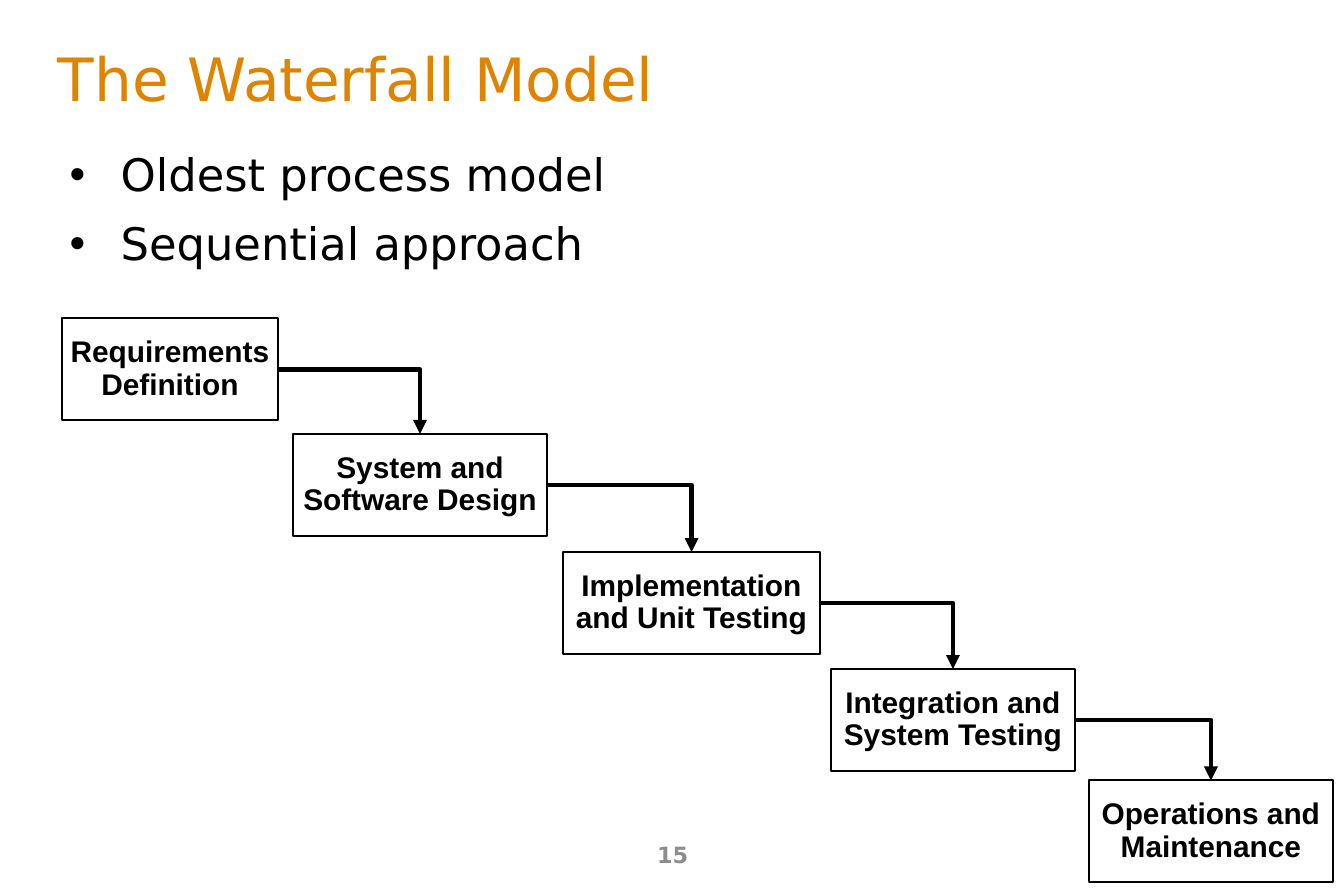
from lxml import etree
from pptx import Presentation
from pptx.dml.color import RGBColor
from pptx.enum.shapes import MSO_CONNECTOR as Connector, MSO_SHAPE as Shape
from pptx.enum.text import MSO_ANCHOR as Anchor, PP_ALIGN as Align
from pptx.oxml.ns import qn
from pptx.util import Inches, Pt

BODY_FONT = "DejaVu Sans"
BLACK = "000000"


def color(hex_value):
    return RGBColor.from_string(hex_value)


def format_text(text_frame, font_name, size, hex_value, align, bold=False):
    for paragraph in text_frame.paragraphs:
        paragraph.alignment = align
        for run in paragraph.runs:
            run.font.name = font_name
            run.font.size = Pt(size)
            run.font.bold = bold
            run.font.color.rgb = color(hex_value)


presentation = Presentation()
presentation.slide_width = Inches(10)
presentation.slide_height = Inches(6.67)
slide = presentation.slides.add_slide(presentation.slide_layouts[5])

# Title
title = slide.shapes.title
title.left, title.top = Inches(0.33), Inches(0.27)
title.width, title.height = Inches(9.17), Inches(0.61)
title.text_frame.text = "The Waterfall Model"
title.text_frame.vertical_anchor = Anchor.MIDDLE
format_text(title.text_frame, BODY_FONT, 32, "DE8400", Align.LEFT)

# Slide number
number_box = slide.shapes.add_textbox(Inches(3.42), Inches(6.18), Inches(3.17), Inches(0.36))
number_box.text_frame.word_wrap = True
number_box.text_frame.text = "15"
number_box.text_frame.vertical_anchor = Anchor.MIDDLE
format_text(number_box.text_frame, BODY_FONT, 12, "8C8C8C", Align.CENTER, bold=True)

# Bullets
bullet_box = slide.shapes.add_textbox(Inches(0.42), Inches(1.09), Inches(6.97), Inches(1))
bullet_box.text_frame.word_wrap = True
bullet_box.text_frame.text = "Oldest process model\nSequential approach"
format_text(bullet_box.text_frame, BODY_FONT, 24, BLACK, Align.LEFT)
for paragraph in bullet_box.text_frame.paragraphs:
    paragraph.line_spacing = 0.9
    paragraph.space_before = Pt(5)
    paragraph.space_after = Pt(6)
    properties = paragraph._p.get_or_add_pPr()
    properties.set("marL", str(Inches(0.38)))
    properties.set("indent", str(-Inches(0.38)))
    etree.SubElement(properties, qn("a:buFont"), typeface="Arial")
    etree.SubElement(properties, qn("a:buChar"), char="•")

# Phases: text, left, top, width
phases = [
    ("Requirements\vDefinition", 0.46, 2.37, 1.61),
    ("System and\nSoftware Design", 2.18, 3.23, 1.89),
    ("Implementation\vand Unit Testing", 4.19, 4.11, 1.91),
    ("Integration and\vSystem Testing", 6.18, 4.98, 1.82),
    ("Operations and\nMaintenance", 8.1, 5.81, 1.82),
]
phase_boxes = []
for text, left, top, width in phases:
    box = slide.shapes.add_shape(
        Shape.RECTANGLE, Inches(left), Inches(top), Inches(width), Inches(0.76))
    box.shadow.inherit = False
    box.fill.background()
    box.line.color.rgb = color(BLACK)
    box.line.width = Pt(1)
    box.text_frame.word_wrap = False
    box.text_frame.vertical_anchor = Anchor.MIDDLE
    box.text_frame.text = text
    format_text(box.text_frame, "Arial", 16, BLACK, Align.CENTER, bold=True)
    for paragraph in box.text_frame.paragraphs:
        paragraph.line_spacing = 0.9
    phase_boxes.append(box)

# Each phase flows from its right side into the top of the next
for phase_box, next_box in zip(phase_boxes, phase_boxes[1:]):
    arrow = slide.shapes.add_connector(Connector.ELBOW, 0, 0, 0, 0)
    arrow.begin_connect(phase_box, 3)
    arrow.end_connect(next_box, 0)
    arrow.line.color.rgb = color(BLACK)
    arrow.line.width = Pt(2.5)
    shape_properties = arrow._element.spPr
    shape_properties.find(qn("a:prstGeom")).set("prst", "bentConnector2")
    etree.SubElement(shape_properties.find(qn("a:ln")), qn("a:tailEnd"), type="triangle")
    etree.SubElement(shape_properties, qn("a:effectLst"))

presentation.save("out.pptx")
